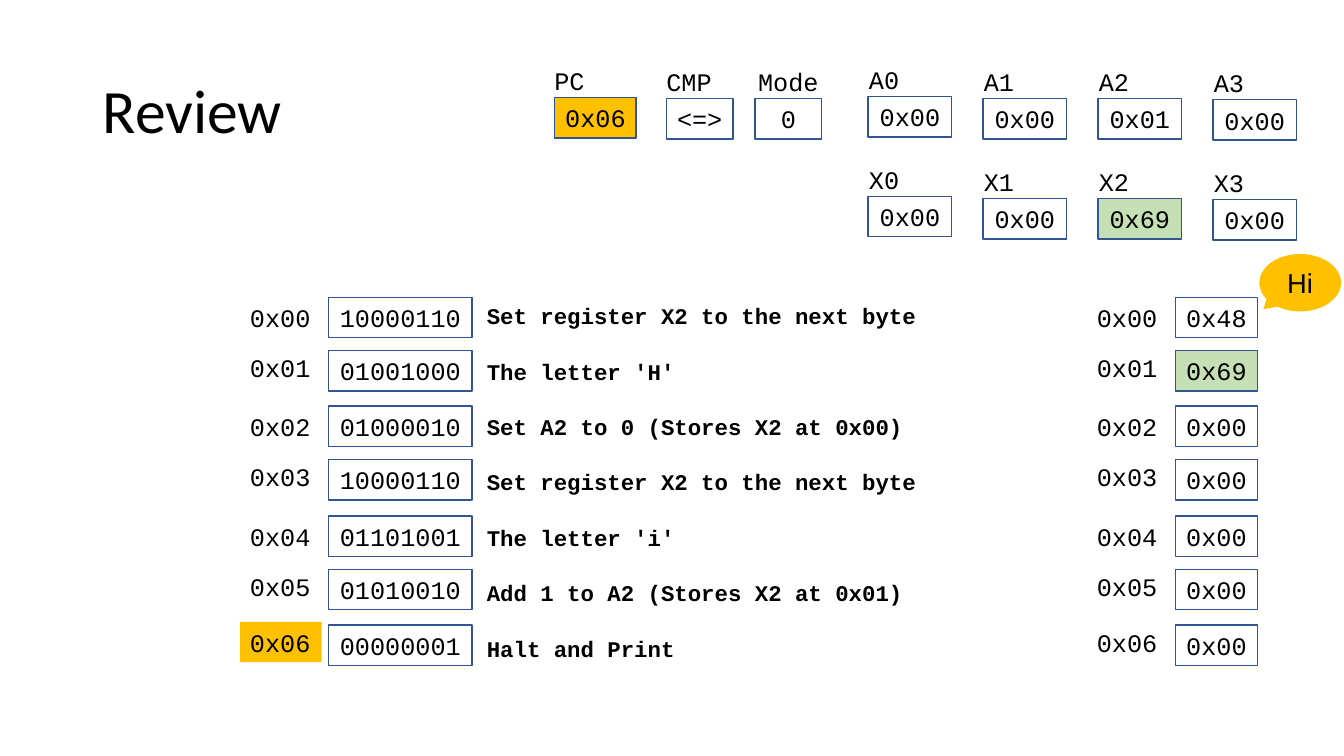
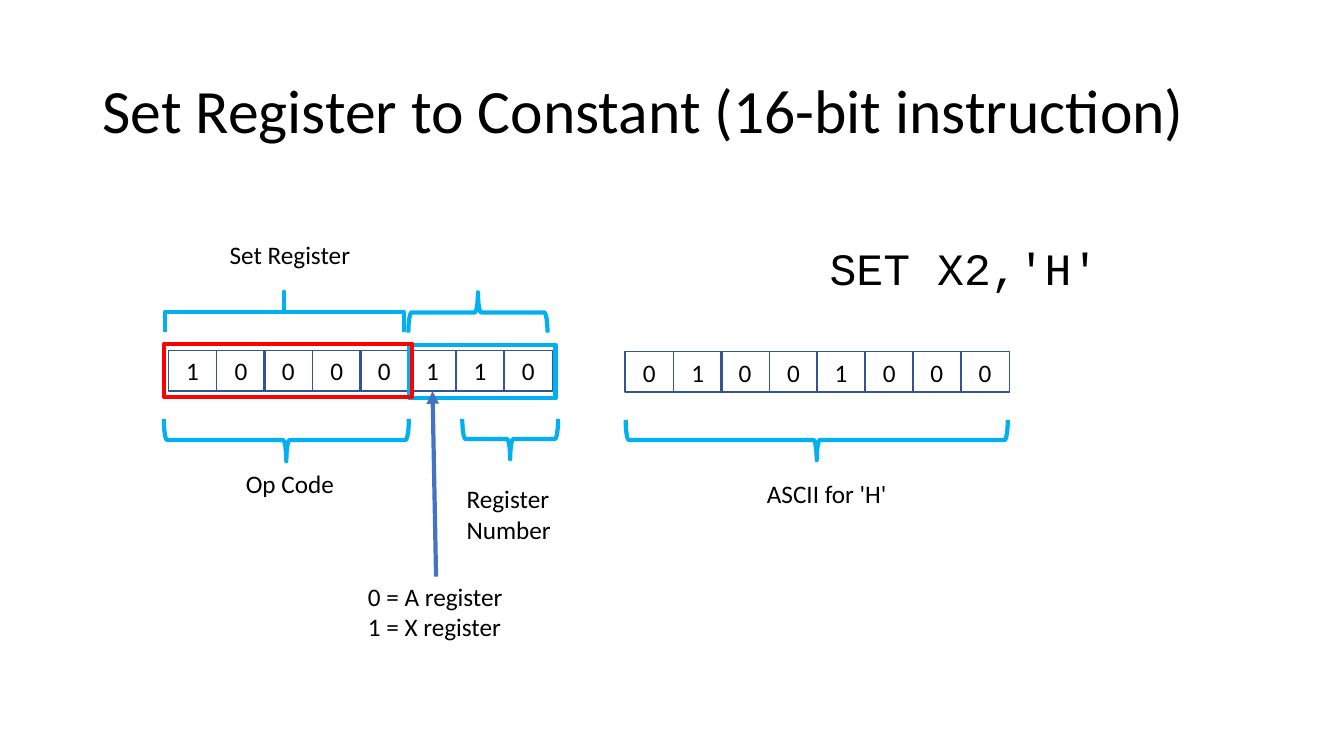
from lxml import etree
from pptx import Presentation
from pptx import util as u
from pptx.dml import color
from pptx.enum import shapes, text
from pptx.oxml import ns

PX = 9144
COLORS = {
    "ink": "000000",
    "outline": "325491",
    "current": "FFC000",
    "changed": "C5E0B4",
    "bracket": "00B0F0",
    "opcode": "FF0000",
    "arrow": "4472C4",
}
RGB = {name: color.RGBColor.from_string(value) for name, value in COLORS.items()}

CODE = {"name": "Courier New", "size": u.Pt(18)}
BODY = {"name": "Calibri", "size": u.Pt(18)}
TITLE = {"name": "Calibri", "size": u.Pt(44)}
MEANING = {"name": "Courier New", "size": u.Pt(16), "bold": True}
COMMAND = {"name": "Courier New", "size": u.Pt(32)}
SPEECH = {"name": "Arial", "size": u.Pt(19.5)}

CENTERED = {"alignment": text.PP_ALIGN.CENTER}
LEFT = {"alignment": text.PP_ALIGN.LEFT}
LABEL_FRAME = {"word_wrap": False, "auto_size": text.MSO_AUTO_SIZE.SHAPE_TO_FIT_TEXT}
BOX_FRAME = {"word_wrap": True, "vertical_anchor": text.MSO_ANCHOR.MIDDLE}
SPEECH_FRAME = BOX_FRAME | dict.fromkeys(
    ["margin_left", "margin_top", "margin_right", "margin_bottom"], 0)

RECTANGLE = shapes.MSO_SHAPE.RECTANGLE
BRACE = shapes.MSO_SHAPE.LEFT_BRACE
CALLOUT = shapes.MSO_SHAPE.OVAL_CALLOUT


def add_shape(container, kind, bounds, fill=None, line="outline", weight=1):
    lengths = [length * PX for length in bounds]
    if kind is None:
        shape = container.add_textbox(*lengths)
    else:
        shape = container.add_shape(kind, *lengths)
        shape.shadow.inherit = False
        if line:
            shape.line.color.rgb = RGB[line]
            shape.line.width = u.Pt(weight)
        else:
            shape.line.fill.background()
    if fill:
        shape.fill.solid()
        shape.fill.fore_color.rgb = RGB[fill]
    else:
        shape.fill.background()
    return shape


def write(shape, lines, font, frame=LABEL_FRAME, layout=LEFT, gap=0):
    for name, value in frame.items():
        setattr(shape.text_frame, name, value)
    for number, line in enumerate(lines):
        paragraph = shape.text_frame.add_paragraph() if number else shape.text_frame.paragraphs[0]
        for name, value in layout.items():
            setattr(paragraph, name, value)
        if number and gap:
            paragraph.space_before = u.Pt(gap)
        run = paragraph.add_run()
        run.text = line
        for name, value in font.items():
            setattr(run.font, name, value)
        run.font.color.rgb = RGB["ink"]
    return shape


presentation = Presentation()
presentation.slide_width = u.Inches(13.33)
presentation.slide_height = u.Inches(7.5)

slides = []
for title, width in [("Review", 376), ("Set Register to Constant (16-bit instruction)", 1150)]:
    slide = presentation.slides.add_slide(presentation.slide_layouts[6])
    write(add_shape(slide.shapes, None, (92, 40, width, 145)), [title], TITLE,
          BOX_FRAME, LEFT | {"line_spacing": 0.9})
    slides.append(slide.shapes)
review, instruction = slides

registers = [
    ("PC", 540, 550, 97, 81, "0x06", "current"),
    ("CMP", 651, 661, 98, 66, "<=>", None),
    ("Mode", 742, 749, 98, 66, "0", None),
]
for bank, offset, values in [
    ("A", 0, ["0x00", "0x00", "0x01", "0x00"]),
    ("X", 99, ["0x00", "0x00", "0x69", "0x00"]),
]:
    for index, (value, top) in enumerate(zip(values, [96, 98, 98, 99])):
        left = 861 + 114 * index
        fill = "changed" if value == "0x69" else None
        registers.append((f"{bank}{index}", left - 9, left, top + offset, 83, value, fill))

for name, label_left, left, top, width, value, fill in registers:
    write(add_shape(review, RECTANGLE, (left, top, width, 40), fill), [value], CODE,
          BOX_FRAME, CENTERED)
    write(add_shape(review, None, (label_left, top - 37, 20 + 15 * len(name), 40)), [name], CODE)

memory = [
    (295, 295, "10000110", "0x48", "Set register X2 to the next byte"),
    (348, 345, "01001000", "0x69", "The letter 'H'"),
    (403, 403, "01000010", "0x00", "Set A2 to 0 (Stores X2 at 0x00)"),
    (456, 453, "10000110", "0x00", "Set register X2 to the next byte"),
    (512, 512, "01101001", "0x00", "The letter 'i'"),
    (565, 562, "01010010", "0x00", "Add 1 to A2 (Stores X2 at 0x01)"),
    (620, 617, "00000001", "0x00", "Halt and Print"),
]
for index, (top, label_top, code, data, meaning) in enumerate(memory):
    address = f"0x{index:02X}"
    current = "current" if address == "0x06" else None
    changed = "changed" if data == "0x69" else None
    for label_left, left, width, value, label_fill, fill in [
        (238, 326, 142, code, current, None),
        (1078, 1166, 81, data, None, changed),
    ]:
        write(add_shape(review, RECTANGLE, (left, top, width, 40), fill), [value], CODE,
              BOX_FRAME, CENTERED)
        write(add_shape(review, None, (label_left, label_top, 81, 40), label_fill), [address], CODE)

write(add_shape(review, None, (473, 295, 452, 360)), [row[-1] for row in memory], MEANING, gap=20.4)

speech = add_shape(review, CALLOUT, (1249, 252, 81, 57), "current", None)
speech.adjustments[0], speech.adjustments[1] = -0.45, 0.46
write(speech, ["Hi"], SPEECH, SPEECH_FRAME, CENTERED)

bits = []
for left, top, byte in [(167, 348, "10000110"), (620, 349, "01001000")]:
    group = instruction.add_group_shape()
    for index, digit in enumerate(byte):
        bounds = (left + (index * 95 + 1) // 2, top, 48, 40)
        bits.append(write(add_shape(group.shapes, RECTANGLE, bounds), [digit], BODY,
                          BOX_FRAME, CENTERED))

add_shape(instruction, RECTANGLE, (406, 342, 145, 53), line="bracket", weight=3)
add_shape(instruction, RECTANGLE, (163, 341, 246, 53), line="opcode", weight=3)

for bounds, rotation, curve in [
    ((454, 241, 40, 138), 90, 0.08),
    ((262, 191, 40, 237), 90, 0),
    ((486, 388, 40, 95), 270, 0.08),
    ((790, 247, 40, 379), 270, 0.08),
    ((263, 315, 42, 243), 270, 0.08),
]:
    brace = add_shape(instruction, BRACE, bounds, line="bracket", weight=3)
    brace.rotation = rotation
    brace.adjustments[0] = curve

write(add_shape(instruction, None, (813, 234, 290, 64)), ["SET X2,'H'"], COMMAND)
for bounds, lines, layout in [
    ((217, 233, 141, 40), ["Set Register"], CENTERED),
    ((233, 460, 109, 40), ["Op Code"], CENTERED),
    ((664, 470, 312, 40), ["ASCII for 'H'"], CENTERED),
    ((453, 475, 105, 71), ["Register", "Number"], LEFT),
    ((355, 572, 155, 71), ["0 = A register", "1 = X register"], LEFT),
]:
    bank_key = write(add_shape(instruction, None, bounds), lines, BODY, layout=layout)

arrow = instruction.add_connector(shapes.MSO_CONNECTOR.STRAIGHT, 433 * PX, 572 * PX, 429 * PX, 388 * PX)
arrow.begin_connect(bank_key, 0)
arrow.end_connect(bits[5], 2)
arrow.line.color.rgb = RGB["arrow"]
arrow.line.width = u.Pt(3)
etree.SubElement(arrow.line._get_or_add_ln(), ns.qn("a:tailEnd"), type="triangle")
etree.SubElement(arrow._element.spPr, ns.qn("a:effectLst"))

presentation.save("out.pptx")
